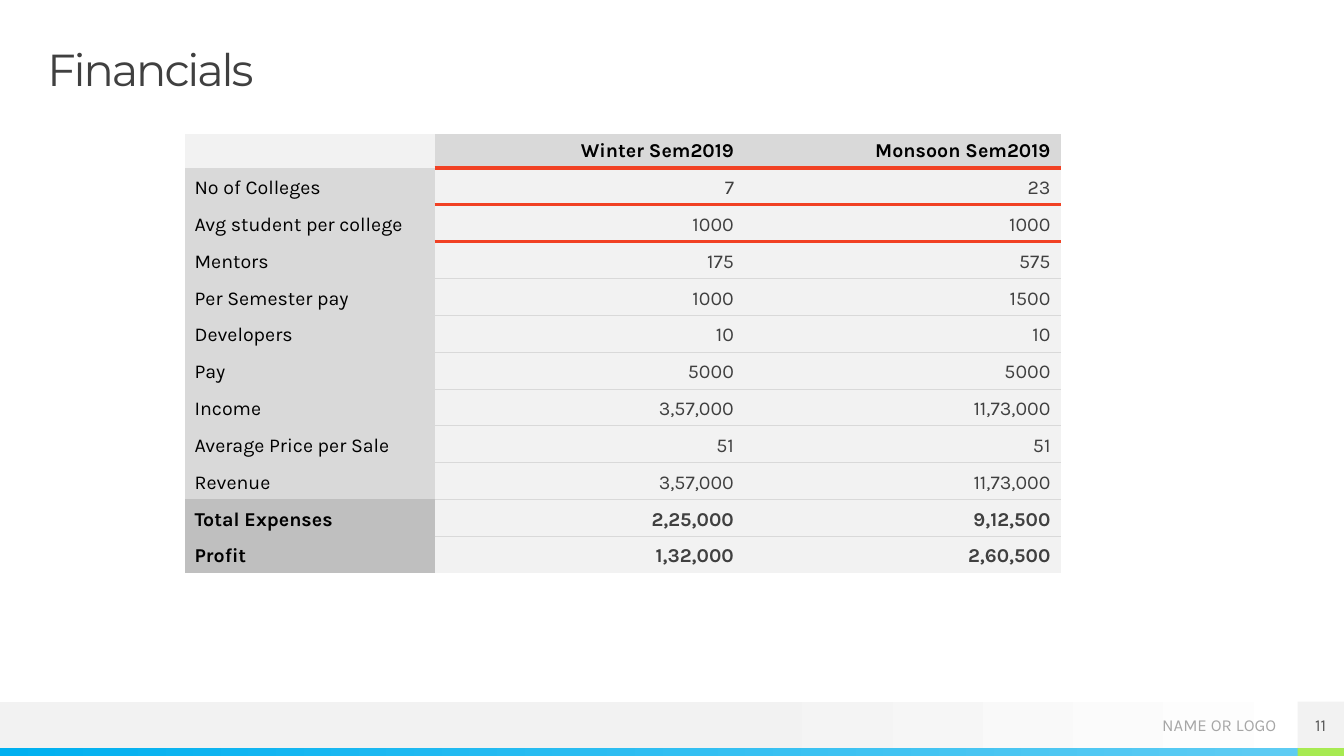
from dataclasses import dataclass

from lxml.etree import SubElement
from pptx import Presentation
from pptx.dml.color import RGBColor
from pptx.enum.shapes import MSO_SHAPE
from pptx.enum.text import MSO_ANCHOR, PP_ALIGN
from pptx.oxml.ns import qn
from pptx.util import Inches, Pt

NO_STYLE_NO_GRID = "{2D5ABB26-0587-4C30-8999-92F81FD0307C}"


@dataclass(frozen=True)
class Theme:
    heading_font: str = "Montserrat"
    body_font: str = "Karla"
    title_size: float = 32
    table_size: float = 14
    footer_size: float = 12
    black: str = "000000"
    text: str = "404040"
    number: str = "595959"
    muted: str = "A6A6A6"
    white: str = "FFFFFF"
    pale: str = "F2F2F2"
    label: str = "D9D9D9"
    total: str = "BFBFBF"
    red: str = "F14124"
    blue: str = "00B0F0"
    sky: str = "5ECCF3"
    green: str = "A7EA52"


class SlideBuilder:
    def __init__(self, slide, theme):
        self.s = slide
        self.theme = theme

    def add_text(self, tf, text, size, color, font=None, align=PP_ALIGN.LEFT, bold=False):
        p = tf.paragraphs[0]
        p.alignment = align
        r = p.add_run()
        r.text = text
        r.font.name = font or self.theme.body_font
        r.font.size = Pt(size)
        r.font.bold = bold
        r.font.color.rgb = RGBColor.from_string(color)
        return p, r

    def frame(self, sp, anchor):
        """Prepare a wrapping text frame without insets."""
        tf = sp.text_frame
        tf.word_wrap = True
        tf.vertical_anchor = anchor
        tf.margin_left = tf.margin_right = tf.margin_top = tf.margin_bottom = 0
        return tf

    def bar(self, x, y, w, h, *stops):
        """Draw a plain bar from one colour, or a gradient from (position, colour) pairs."""
        sp = self.s.shapes.add_shape(
            MSO_SHAPE.RECTANGLE, Inches(x), Inches(y), Inches(w), Inches(h))
        sp.shadow.inherit = False
        sp.line.fill.background()
        if len(stops) == 1:
            sp.fill.solid()
            sp.fill.fore_color.rgb = RGBColor.from_string(stops[0])
        else:
            sp.fill.gradient()
            sp.fill.gradient_angle = 0
            for stop, (position, color) in zip(sp.fill.gradient_stops, stops):
                stop.position = position
                stop.color.rgb = RGBColor.from_string(color)
        return sp

    def text_box(self, x, y, w, h, anchor, *args, **style):
        sp = self.s.shapes.add_textbox(Inches(x), Inches(y), Inches(w), Inches(h))
        return self.add_text(self.frame(sp, anchor), *args, **style)

    def border(self, cell, side, color, width):
        ln = SubElement(cell._tc.get_or_add_tcPr(), qn(f"a:ln{side}"), w=str(Pt(width)))
        fill = SubElement(ln, qn("a:solidFill"))
        SubElement(fill, qn("a:srgbClr"), val=color)

    def rule(self, row):
        """Return colour and width of the line under a table row, or None."""
        if row in range(3):
            return self.theme.red, 3
        if row in range(3, 10):
            return self.theme.label, 0.25
        return None

    def table(self, x, y, widths, header_height, height, rows):
        body_height = (height - header_height) / (len(rows) - 1)
        table = self.s.shapes.add_table(
            len(rows), len(widths), Inches(x), Inches(y),
            Inches(sum(widths)), Inches(height)).table
        table.first_row = table.horz_banding = False
        table._tbl.tblPr.find(qn("a:tableStyleId")).text = NO_STYLE_NO_GRID
        for column, width in zip(table.columns, widths):
            column.width = Inches(width)
        for i, values in enumerate(rows):
            table.rows[i].height = Inches(body_height if i else header_height)
            for j, value in enumerate(values):
                self.cell(table.cell(i, j), i, j, value, i >= len(rows) - 2)

    def cell(self, cell, i, j, value, is_total):
        t = self.theme
        if j:
            for side, line in (("T", self.rule(i - 1)), ("B", self.rule(i))):
                if line:
                    self.border(cell, side, *line)
        is_label = (i == 0) != (j == 0)
        fill = t.label if is_label else t.pale
        if is_total and j == 0:
            fill = t.total
        cell.fill.solid()
        cell.fill.fore_color.rgb = RGBColor.from_string(fill)
        cell.vertical_anchor = MSO_ANCHOR.BOTTOM
        if value:
            self.add_text(cell.text_frame, value, t.table_size,
                          t.black if is_label else t.text,
                          align=PP_ALIGN.RIGHT if j else PP_ALIGN.LEFT,
                          bold=i == 0 or is_total)
        else:
            cell.text_frame.paragraphs[0].font.size = Pt(t.table_size)


FINANCIALS = [
    ("", "Winter Sem2019", "Monsoon Sem2019"),
    ("No of Colleges", "7", "23"),
    ("Avg student per college", "1000", "1000"),
    ("Mentors", "175", "575"),
    ("Per Semester pay", "1000", "1500"),
    ("Developers", "10", "10"),
    ("Pay", "5000", "5000"),
    ("Income", "3,57,000", "11,73,000"),
    ("Average Price per Sale", "51", "51"),
    ("Revenue", "3,57,000", "11,73,000"),
    ("Total Expenses", "2,25,000", "9,12,500"),
    ("Profit", "1,32,000", "2,60,500"),
]


def main():
    prs = Presentation()
    prs.slide_width, prs.slide_height = Inches(13.33), Inches(7.5)
    t = Theme()
    b = SlideBuilder(prs.slides.add_slide(prs.slide_layouts[6]), t)

    b.bar(0, 6.96, 13.33, 0.46, (0.53, t.pale), (1, t.white))
    b.bar(0, 7.42, 12.87, 0.08, (0, t.blue), (1, t.sky))
    b.bar(12.87, 7.42, 0.46, 0.08, t.green)
    b.text_box(10.42, 6.96, 2.24, 0.47, MSO_ANCHOR.MIDDLE, "NAME OR LOGO",
               t.footer_size, t.muted, align=PP_ALIGN.RIGHT)

    p, r = b.text_box(0.47, 0.47, 12.4, 0.47, MSO_ANCHOR.TOP, "Financials",
                      t.title_size, t.text, font=t.heading_font)
    p.line_spacing = 0.9
    r._r.get_or_add_rPr().set("spc", "-150")

    b.table(1.83, 1.33, (2.48, 3.07, 3.14), 0.33, 4.35, FINANCIALS)

    number = b.bar(12.87, 6.96, 0.46, 0.46, t.pale)
    b.add_text(b.frame(number, MSO_ANCHOR.MIDDLE), "11", t.footer_size, t.number,
               align=PP_ALIGN.CENTER)
    prs.save("out.pptx")


if __name__ == "__main__":
    main()
